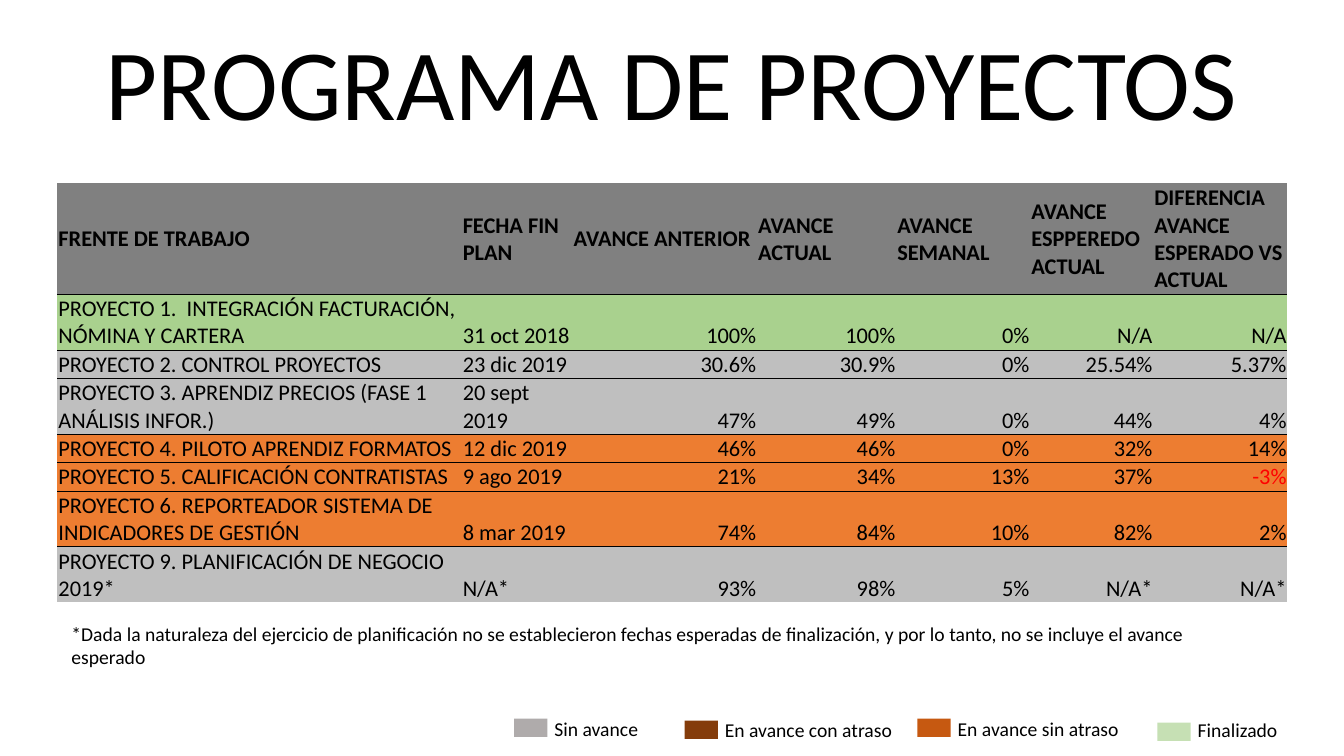
"""Build the project programme status slide."""
import pptx
import pptx.util
import pptx.dml.color
import pptx.enum.shapes
import pptx.enum.text
import pptx.oxml
import pptx.oxml.ns

Inches = pptx.util.Inches
Pt = pptx.util.Pt
ALIGN = pptx.enum.text.PP_ALIGN
ANCHOR = pptx.enum.text.MSO_ANCHOR

COLORS = {
    "text": "000000", "negative": "FF0000", "header": "808080",
    "done": "A9D18E", "idle": "BFBFBF", "active": "ED7D31",
    "key_idle": "AFABAB", "key_late": "843C0B",
    "key_on_time": "C65911", "key_done": "C6E0B4",
}
TITLE = "PROGRAMA DE PROYECTOS"
NOTE = ("*Dada la naturaleza del ejercicio de planificación no se establecieron "
        "fechas esperadas de finalización, y por lo tanto, no se incluye el avance esperado")
COLUMNS = [
    ("FRENTE DE TRABAJO", 4.01), ("FECHA FIN PLAN", 1.1), ("AVANCE ANTERIOR", 1.83),
    ("AVANCE ACTUAL", 1.38), ("AVANCE SEMANAL", 1.33), ("AVANCE ESPPEREDO ACTUAL", 1.22),
    ("DIFERENCIA AVANCE ESPERADO VS ACTUAL", 1.33),
]
PROJECTS = [
    ("done", 2, ["PROYECTO 1.  INTEGRACIÓN FACTURACIÓN, NÓMINA Y CARTERA",
                 "31 oct 2018", "100%", "100%", "0%", "N/A", "N/A"]),
    ("idle", 1, ["PROYECTO 2. CONTROL PROYECTOS",
                 "23 dic 2019", "30.6%", "30.9%", "0%", "25.54%", "5.37%"]),
    ("idle", 2, ["PROYECTO 3. APRENDIZ PRECIOS (FASE 1 ANÁLISIS INFOR.)",
                 "20 sept 2019", "47%", "49%", "0%", "44%", "4%"]),
    ("active", 1, ["PROYECTO 4. PILOTO APRENDIZ FORMATOS",
                   "12 dic 2019", "46%", "46%", "0%", "32%", "14%"]),
    ("active", 1, ["PROYECTO 5. CALIFICACIÓN CONTRATISTAS",
                   "9 ago 2019", "21%", "34%", "13%", "37%", "-3%"]),
    ("active", 2, ["PROYECTO 6. REPORTEADOR SISTEMA DE INDICADORES DE GESTIÓN",
                   "8 mar 2019", "74%", "84%", "10%", "82%", "2%"]),
    ("idle", 2, ["PROYECTO 9. PLANIFICACIÓN DE NEGOCIO 2019*",
                 "N/A*", "93%", "98%", "5%", "N/A*", "N/A*"]),
]
LEGEND = [
    ("Sin avance", "key_idle", 5.1, 7.13, 7.06, 1.93),
    ("En avance con atraso", "key_late", 6.79, 7.15, 7.07, 1.93),
    ("En avance sin atraso", "key_on_time", 9.1, 7.13, 7.06, 1.93),
    ("Finalizado", "key_done", 11.48, 7.17, 7.07, 1.02),
]
LINE_HEIGHT = 0.27


def rgb(name):
    """Return the named colour."""
    return pptx.dml.color.RGBColor.from_string(COLORS[name])


def write(tf, text, size, bold=False, color="text", align=ALIGN.LEFT):
    """Write one formatted paragraph."""
    p = tf.paragraphs[0]
    p.alignment = align
    r = p.add_run()
    r.text = text
    for name, value in {"name": "Calibri", "size": Pt(size), "bold": bold}.items():
        setattr(r.font, name, value)
    r.font.color.rgb = rgb(color)


def add_text(slide, text, left, top, width, height):
    """Add a wrapped 14-point text box."""
    sp = slide.shapes.add_textbox(*map(Inches, (left, top, width, height)))
    sp.text_frame.word_wrap = True
    write(sp.text_frame, text, 14)


def set_borders(cell, sides):
    """Draw thin borders on the given sides and clear the others."""
    tcPr = cell._tc.get_or_add_tcPr()
    black = f'<a:solidFill><a:srgbClr val="{COLORS["text"]}"/></a:solidFill>'
    for i, side in enumerate("LRTB"):
        fill = black if side in sides else "<a:noFill/>"
        ns = pptx.oxml.ns.nsdecls("a")
        ln = pptx.oxml.parse_xml(f'<a:ln{side} {ns} w="{Pt(0.5)}">{fill}</a:ln{side}>')
        tcPr.insert(i, ln)


def add_projects(slide):
    """Add the project table."""
    rows = [("header", 4, [name for name, _ in COLUMNS])] + PROJECTS
    width = sum(w for _, w in COLUMNS)
    height = LINE_HEIGHT * sum(lines for _, lines, _ in rows)
    table = slide.shapes.add_table(
        len(rows), len(COLUMNS), *map(Inches, (0.57, 1.82, width, height))).table
    for column, (_, w) in zip(table.columns, COLUMNS):
        column.width = Inches(w)
    for i, (status, lines, values) in enumerate(rows):
        table.rows[i].height = Inches(lines * LINE_HEIGHT)
        header = i == 0
        sides = ("" if header else "T") + ("" if i == len(rows) - 1 else "B")
        for j, value in enumerate(values):
            cell = table.cell(i, j)
            layout = {
                "margin_left": Inches(0.01), "margin_right": Inches(0.01),
                "margin_top": Inches(0.01), "margin_bottom": 0,
                "vertical_anchor": ANCHOR.MIDDLE if header else ANCHOR.BOTTOM,
            }
            for name, setting in layout.items():
                setattr(cell, name, setting)
            cell.fill.solid()
            cell.fill.fore_color.rgb = rgb(status)
            set_borders(cell, sides)
            write(cell.text_frame, value, 16, header,
                  "negative" if value.startswith("-") else "text",
                  ALIGN.LEFT if header or j < 2 else ALIGN.RIGHT)


def add_legend(slide):
    """Add the colour key."""
    for label, color, left, top, label_top, width in LEGEND:
        sp = slide.shapes.add_shape(pptx.enum.shapes.MSO_SHAPE.RECTANGLE,
                                    *map(Inches, (left, top, 0.33, 0.18)))
        sp.shadow.inherit = False
        sp.fill.solid()
        sp.fill.fore_color.rgb = rgb(color)
        sp.line.fill.background()
        add_text(slide, label, left + 0.3, label_top, width, 0.34)


def main():
    """Build and save the slide."""
    prs = pptx.Presentation()
    prs.slide_width, prs.slide_height = Inches(13.33), Inches(7.5)
    slide = prs.slides.add_slide(prs.slide_layouts[5])
    title = slide.shapes.title
    place = {"left": 0.61, "top": 0.15, "width": 12.1, "height": 1.31}
    for name, value in place.items():
        setattr(title, name, Inches(value))
    tf = title.text_frame
    tf.auto_size = pptx.enum.text.MSO_AUTO_SIZE.NONE
    tf.vertical_anchor = ANCHOR.TOP
    write(tf, TITLE, 72, align=ALIGN.CENTER)
    add_projects(slide)
    add_legend(slide)
    add_text(slide, NOTE, 0.61, 6.12, 12, 0.57)
    prs.save("out.pptx")


if __name__ == "__main__":
    main()
